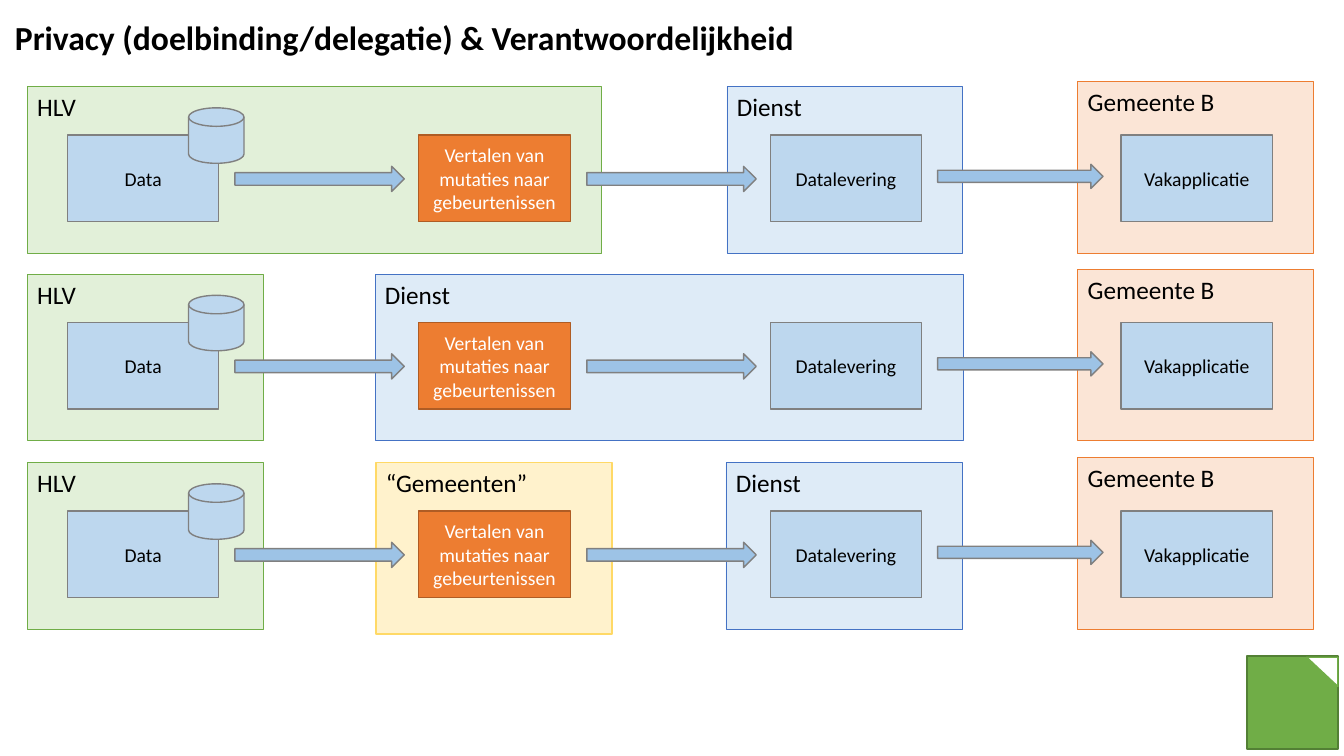
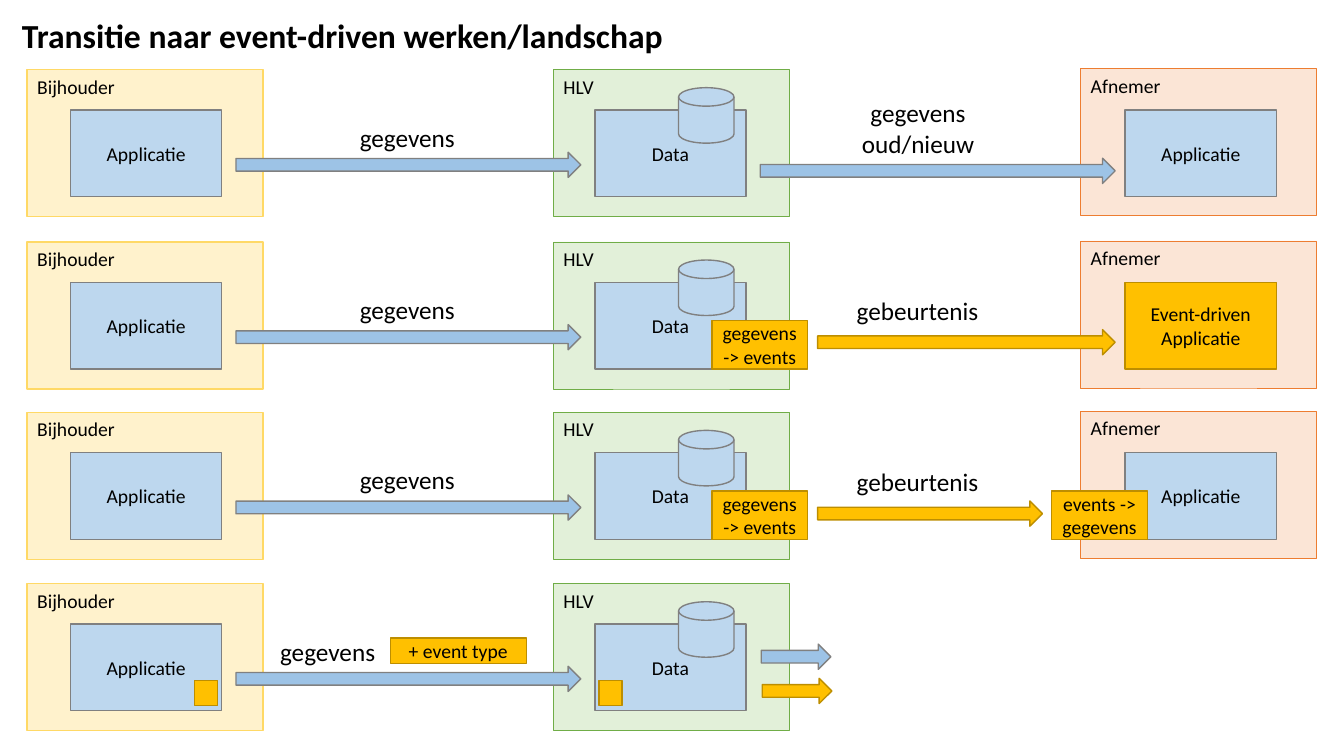
from pptx import Presentation
from pptx.dml.color import RGBColor
from pptx.enum.shapes import MSO_SHAPE as SHAPE
from pptx.enum.text import MSO_ANCHOR as ANCHOR, PP_ALIGN as ALIGN
from pptx.util import Emu, Pt

PX = 9144  # 100 px to the inch
FONT = "Calibri"
BLACK, WHITE = "000000", "FFFFFF"

# fill, line, line width in points
GREEN = ("E2F0D9", "70AD47", 0.5)
NAVY = ("DEEBF7", "4472C4", 0.5)
PEACH = ("FBE5D6", "ED7D31", 0.5)
YELLOW = ("FFF2CC", "FFD966", 1)
BLUE = ("BDD7EE", "808080", 1)
FLOW = ("9DC3E6", "808080", 1)
ORANGE = ("ED7D31", "AF5C24", 1)
GOLD = ("FFC000", "BD8E00", 1)
CORNER = ("70AD47", "538035", 1)
FOLD = ("FFFFFF", "70AD47", 1)

RECT, ARROW, DISK = SHAPE.RECTANGLE, SHAPE.RIGHT_ARROW, SHAPE.FLOWCHART_MAGNETIC_DISK


def paint(s, look):
    fill, line, width = look
    s.shadow.inherit = False
    s.fill.solid()
    s.fill.fore_color.rgb = RGBColor.from_string(fill)
    s.line.color.rgb = RGBColor.from_string(line)
    s.line.width = Pt(width)


def add(kind, at, look=None, text="", size=14, color=BLACK, bold=False,
        align=ALIGN.CENTER, anchor=ANCHOR.MIDDLE, wrap=True, spacing=None):
    """Add a preset shape, or a text box when kind is None, to the current slide."""
    box = [Emu(v * PX) for v in at]
    if kind is None:
        s = slide.shapes.add_textbox(*box)
    else:
        s = slide.shapes.add_shape(kind, *box)
        paint(s, look)
    if not text:
        return
    tf = s.text_frame
    tf.text = text
    tf.word_wrap = wrap
    tf.vertical_anchor = anchor
    if kind is not None and align == ALIGN.CENTER:
        tf.margin_left = tf.margin_right = 5 * PX
    for p in tf.paragraphs:
        p.alignment = align
        p.line_spacing = spacing
        for name, value in dict(name=FONT, size=Pt(size), bold=bold).items():
            setattr(p.font, name, value)
        p.font.color.rgb = RGBColor.from_string(color)


prs = Presentation()
prs.slide_width, prs.slide_height = Emu(1333 * PX), Emu(750 * PX)

PANEL = dict(align=ALIGN.LEFT, anchor=ANCHOR.TOP)
LABEL = dict(size=18, anchor=ANCHOR.TOP, wrap=False)
TITLE = dict(size=24, bold=True, align=ALIGN.LEFT, spacing=0.9)

titles = [
    ("Privacy (doelbinding/delegatie) & Verantwoordelijkheid", (5, 5, 1080, 69), ANCHOR.MIDDLE),
    ("Transitie naar event-driven werken/landschap", (12, 14, 1150, 56), ANCHOR.TOP),
]
slides = []
for text, at, anchor in titles:
    slide = prs.slides.add_slide(prs.slide_layouts[6])
    add(None, at, text=text, anchor=anchor, **TITLE)
    slides.append(slide)

# Slide 1: who is responsible for which step
slide = slides[0]
variants = [
    (86, [("HLV", 27, 569, GREEN), ("Dienst", 721, 234, NAVY)]),
    (272, [("HLV", 27, 234, GREEN), ("Dienst", 372, 584, NAVY)]),
    (459, [("HLV", 27, 234, GREEN), ("“Gemeenten”", 373, 234, YELLOW),
           ("Dienst", 720, 235, NAVY)]),
]
steps = [
    ("Data", 67, 150, BLUE, BLACK),
    ("Vertalen van mutaties naar gebeurtenissen", 415, 151, ORANGE, WHITE),
    ("Datalevering", 764, 150, BLUE, BLACK),
    ("Vakapplicatie", 1112, 150, BLUE, BLACK),
]
for top, panels in variants:
    for text, x, w, look in panels:
        add(RECT, (x, top, w, 170 if look is YELLOW else 165), look, text, 18, **PANEL)
    add(RECT, (1069, top - 5, 234, 170), PEACH, "Gemeente B", 18, **PANEL)
    for text, x, w, look, color in steps:
        add(RECT, (x, top + 48, w, 86), look, text, color=color)
    add(DISK, (187, top + 21, 55, 55), BLUE)
    for x in (233, 582):
        add(ARROW, (x, top + 79, 168, 25), FLOW)
    add(ARROW, (930, top + 77, 164, 24), FLOW)

add(RECT, (1237, 651, 90, 92), CORNER)
fb = slide.shapes.build_freeform(1296, 652, scale=PX)
fb.add_line_segments([(1327, 652), (1327, 681)], close=True)
paint(fb.convert_to_shape(), FOLD)

# Slide 2: four stages of the transition
slide = slides[1]
TO_EVENTS = "gegevens\n-> events"
stages = [
    dict(top=69, receiver=("Applicatie", BLUE), label=("gegevens\noud/nieuw", 844, 23, 133, 71),
         arrows=[(754, 88, 352, FLOW)], tags=[]),
    dict(top=240, receiver=("Event-driven Applicatie", GOLD),
         label=("gebeurtenis", 839, 48, 142, 40), arrows=[(811, 87, 295, GOLD)],
         tags=[(TO_EVENTS, 706, 78, 95, 48)]),
    dict(top=409, receiver=("Applicatie", BLUE), label=("gebeurtenis", 839, 49, 142, 40),
         arrows=[(811, 88, 223, GOLD)],
         tags=[(TO_EVENTS, 706, 78, 95, 48), ("events ->\vgegevens", 1043, 78, 95, 48)]),
    dict(top=579, receiver=None, label=None,
         arrows=[(755, 60, 69, FLOW), (756, 94, 69, GOLD)],
         tags=[("+ event type", 387, 54, 135, 25), ("", 193, 96, 23, 25), ("", 594, 96, 23, 25)]),
]
for stage in stages:
    top, receiver, label = stage["top"], stage["receiver"], stage["label"]
    for text, x, look in [("Bijhouder", 27, YELLOW), ("HLV", 549, GREEN)]:
        add(RECT, (x, top, 234, 146), look, text, **PANEL)
    for text, x in [("Applicatie", 70), ("Data", 590)]:
        add(RECT, (x, top + 40, 150, 86), BLUE, text)
    add(DISK, (673, top + 18, 55, 55), BLUE)
    add(ARROW, (234, top + 82, 342, 25), FLOW)
    add(None, (346 if receiver else 267, top + 47, 116, 40), text="gegevens", **LABEL)
    if receiver:
        text, look = receiver
        add(RECT, (1072, top - 1, 234, 146), PEACH, "Afnemer", **PANEL)
        add(RECT, (1116, top + 40, 150, 86), look, text)
    if label:
        text, x, dy, w, h = label
        add(None, (x, top + dy, w, h), text=text, **LABEL)
    for x, dy, w, look in stage["arrows"]:
        add(ARROW, (x, top + dy, w, 25), look)
    for text, x, dy, w, h in stage["tags"]:
        add(RECT, (x, top + dy, w, h), GOLD, text)

prs.save("out.pptx")
